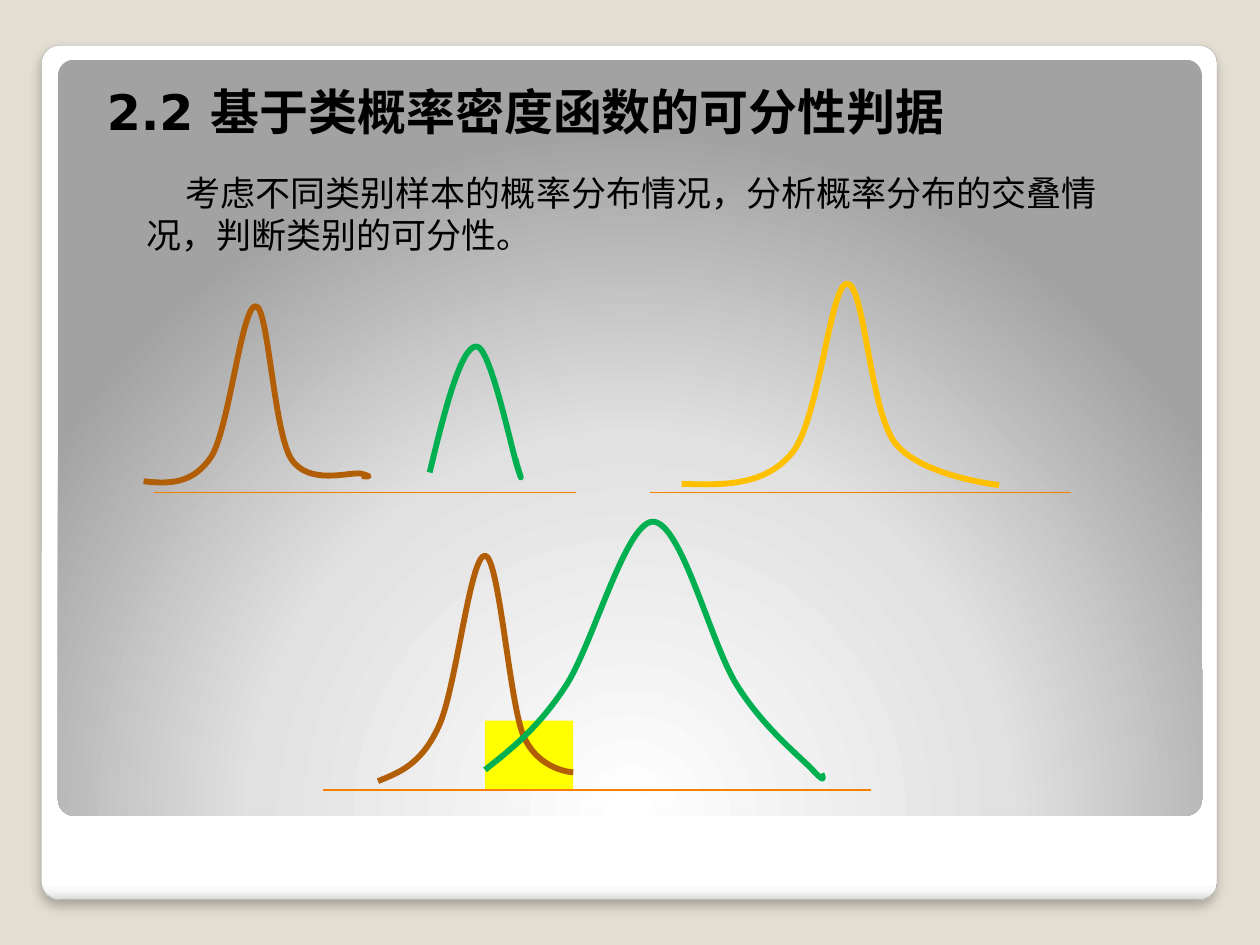
from lxml import etree
from pptx import Presentation
from pptx.dml.color import RGBColor
from pptx.enum.shapes import MSO_CONNECTOR, MSO_SHAPE
from pptx.oxml import parse_xml
from pptx.oxml.ns import nsdecls, qn
from pptx.util import Inches, Pt

RECTANGLE = MSO_SHAPE.RECTANGLE
ROUNDED = MSO_SHAPE.ROUNDED_RECTANGLE
STRAIGHT = MSO_CONNECTOR.STRAIGHT
FONT = "DejaVu Sans"
COLORS = {
    "background": "E3DED1", "frame": "A4A4A4", "text": "000000", "overlap": "FFFF00",
    "axis": "F97F00", "brown": "B25E07", "green": "00B050", "gold": "FFC000",
}
COLORS = {name: RGBColor.from_string(value) for name, value in COLORS.items()}

deck = Presentation()
deck.slide_width, deck.slide_height = Inches(10), Inches(7.5)
CELL = deck.slide_width // 100
page = deck.slides.add_slide(deck.slide_layouts[6])
page.background.fill.solid()
page.background.fill.fore_color.rgb = COLORS["background"]


def cells(*values):
    return [round(value * CELL) for value in values]


def bend_segments(shape):
    path = shape._element.spPr.find(".//" + qn("a:path"))
    corners = path.findall(qn("a:lnTo"))
    for first in range(0, len(corners), 3):
        bend = etree.SubElement(path, qn("a:cubicBezTo"))
        for corner in corners[first:first + 3]:
            bend.append(corner[0])
            path.remove(corner)


panels = [
    ((3.3, 3.6, 93.3, 67.8), [(0, "FFFFFF"), (98, "FFFFFF"), (99, "F7F7F7"), (100, "DADADA")],
     '<a:lin ang="5400000" scaled="0"/>'),
    ((4.6, 4.74, 90.8, 60), [(0, "FFFFFF"), (55, "E1E1E1"), (100, "A2A2A2")],
     '<a:path path="circle"><a:fillToRect l="50000" t="175000" r="50000" b="-75000"/></a:path>'),
]
for place, stops, direction in panels:
    panel = page.shapes.add_shape(ROUNDED, *cells(*place))
    panel.adjustments[0] = 0.021
    panel.shadow.inherit = False
    panel.line.fill.background()
    panel.fill.solid()
    stop_list = "".join(
        f'<a:gs pos="{share * 1000}"><a:srgbClr val="{color}"/></a:gs>' for share, color in stops
    )
    gradient = parse_xml(
        f'<a:gradFill {nsdecls("a")} rotWithShape="1"><a:gsLst>{stop_list}</a:gsLst>{direction}</a:gradFill>'
    )
    properties = panel.element.spPr
    properties.replace(properties.find(qn("a:solidFill")), gradient)

card = page.shapes[0]
card.line.color.rgb = COLORS["frame"]
card.line.width = Pt(0.16)
card.element.spPr.find(qn("a:effectLst")).append(parse_xml(
    f'<a:outerShdw {nsdecls("a")} blurRad="76200" dist="50800" dir="5400000" algn="tl" rotWithShape="0">'
    '<a:srgbClr val="000000"><a:alpha val="25000"/></a:srgbClr></a:outerShdw>'
))

texts = [
    ((7.5, 6, 76.4, 5.7), "2.2 基于类概率密度函数的可分性判据", 28, True, 0),
    ((10.64, 13.1, 78.7, 7.7), "考虑不同类别样本的概率分布情况，分析概率分布的交叠情况，判断类别的可分性。",
     20, False, 3.1),
]
for place, words, size, bold, indent in texts:
    box = page.shapes.add_textbox(*cells(*place))
    box.text_frame.word_wrap = True
    para = box.text_frame.paragraphs[0]
    para.text = words
    para._p.get_or_add_pPr().set("indent", str(round(indent * CELL)))
    para.font.name = FONT
    para.font.size = Pt(size)
    para.font.bold = bold
    para.font.color.rgb = COLORS["text"]

overlap = page.shapes.add_shape(RECTANGLE, *cells(38.5, 57.2, 7, 5.5))
overlap.shadow.inherit = False
overlap.fill.solid()
overlap.fill.fore_color.rgb = COLORS["overlap"]
overlap.line.fill.background()

for left, right, row in [(12.2, 45.7, 39.1), (51.6, 85, 39.1), (25.6, 69.1, 62.7)]:
    axis = page.shapes.add_connector(STRAIGHT, *cells(left, row, right, row))
    axis.line.color.rgb = COLORS["axis"]
    axis.line.width = Pt(0.75)
    etree.SubElement(axis._element.spPr, qn("a:effectLst"))

curves = [
    ("brown", [(11.4, 38.2), (13.3, 38.4), (15.3, 38.5), (16.8, 36.2), (18.2, 33.9), (19.2, 24.2),
               (20.3, 24.3), (21.3, 24.3), (21.7, 34.1), (23.1, 36.4), (24.5, 38.6), (27.8, 37.4),
               (28.7, 37.6), (29.7, 37.9), (29.2, 37.8), (28.7, 37.8)]),
    ("green", [(34.1, 37.5), (35.3, 32.5), (36.6, 27.5), (37.8, 27.5), (38.9, 27.4), (40.6, 35.7),
               (41.1, 37.2), (41.6, 38.7), (41.2, 37.5), (40.9, 36.4)]),
    ("gold", [(54.1, 38.4), (57.4, 38.5), (60.7, 38.6), (62.9, 35.9), (65, 33.3), (65.9, 22.7),
              (67.2, 22.5), (68.6, 22.4), (69, 32.4), (71, 35.1), (73, 37.8), (79.3, 38.5),
              (79.3, 38.5)]),
    ("brown", [(30, 62), (31.7, 61.3), (33.4, 60.7), (34.8, 57.7), (36.2, 54.8), (37.3, 44),
               (38.5, 44.1), (39.6, 44.2), (40.4, 55.4), (41.5, 58.3), (42.7, 61.2), (45.5, 61.3),
               (45.5, 61.3)]),
    ("green", [(38.5, 61.1), (40.5, 59.5), (42.6, 57.9), (44.8, 54.6), (47, 51.4), (49.6, 41.5),
               (51.8, 41.4), (54.1, 41.4), (56.4, 51.1), (58.5, 54.4), (60.5, 57.6), (63.2, 59.8),
               (64.4, 61), (65.5, 62.2), (65.4, 61.8), (65.2, 61.4)]),
]
for color, points in curves:
    outline = page.shapes.build_freeform(*cells(*points[0]))
    outline.add_line_segments([cells(*point) for point in points[1:]], close=False)
    curve = outline.convert_to_shape()
    bend_segments(curve)
    curve.shadow.inherit = False
    curve.fill.background()
    curve.line.color.rgb = COLORS[color]
    curve.line.width = Pt(3.35)

deck.save("out.pptx")
